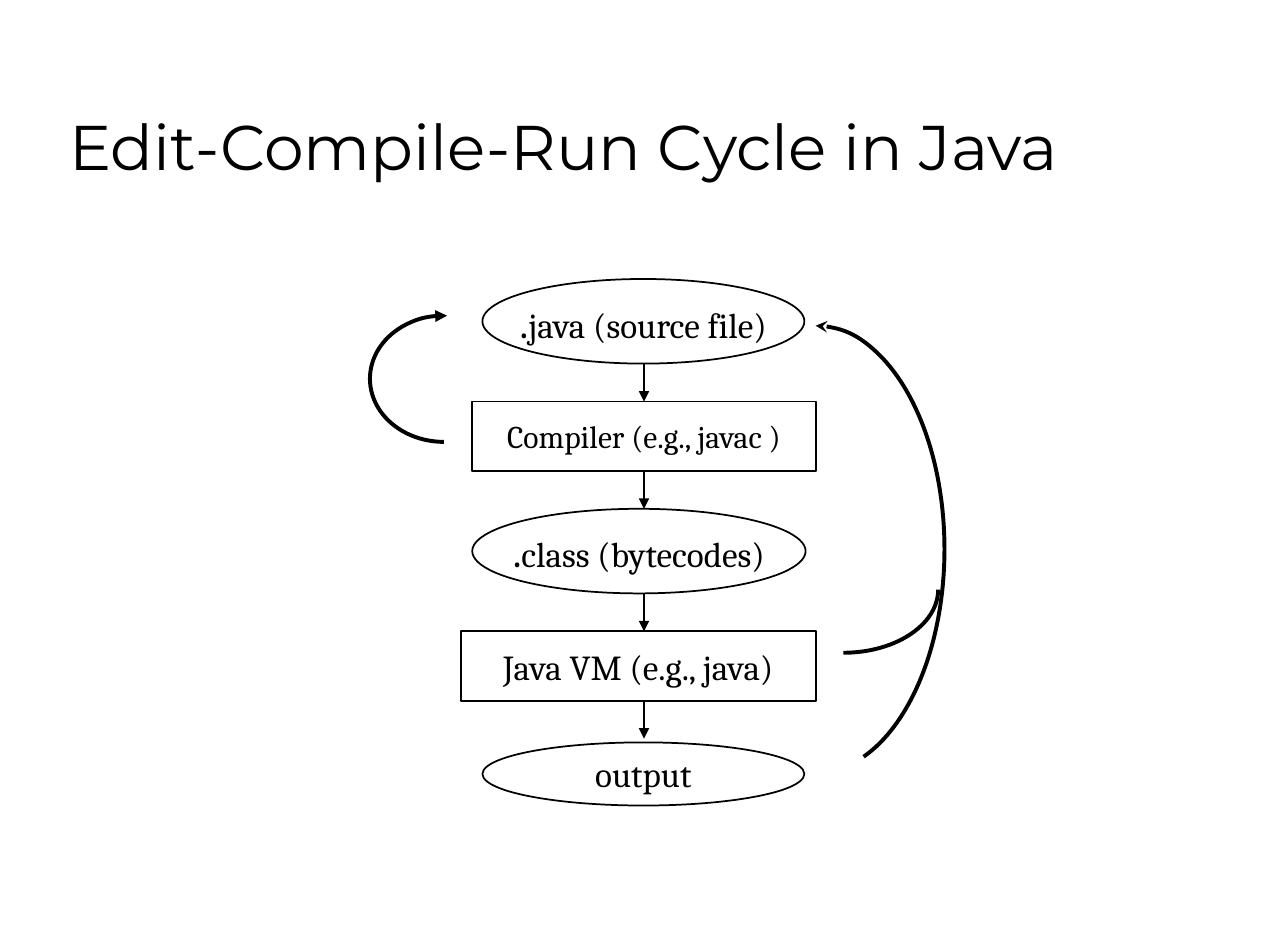
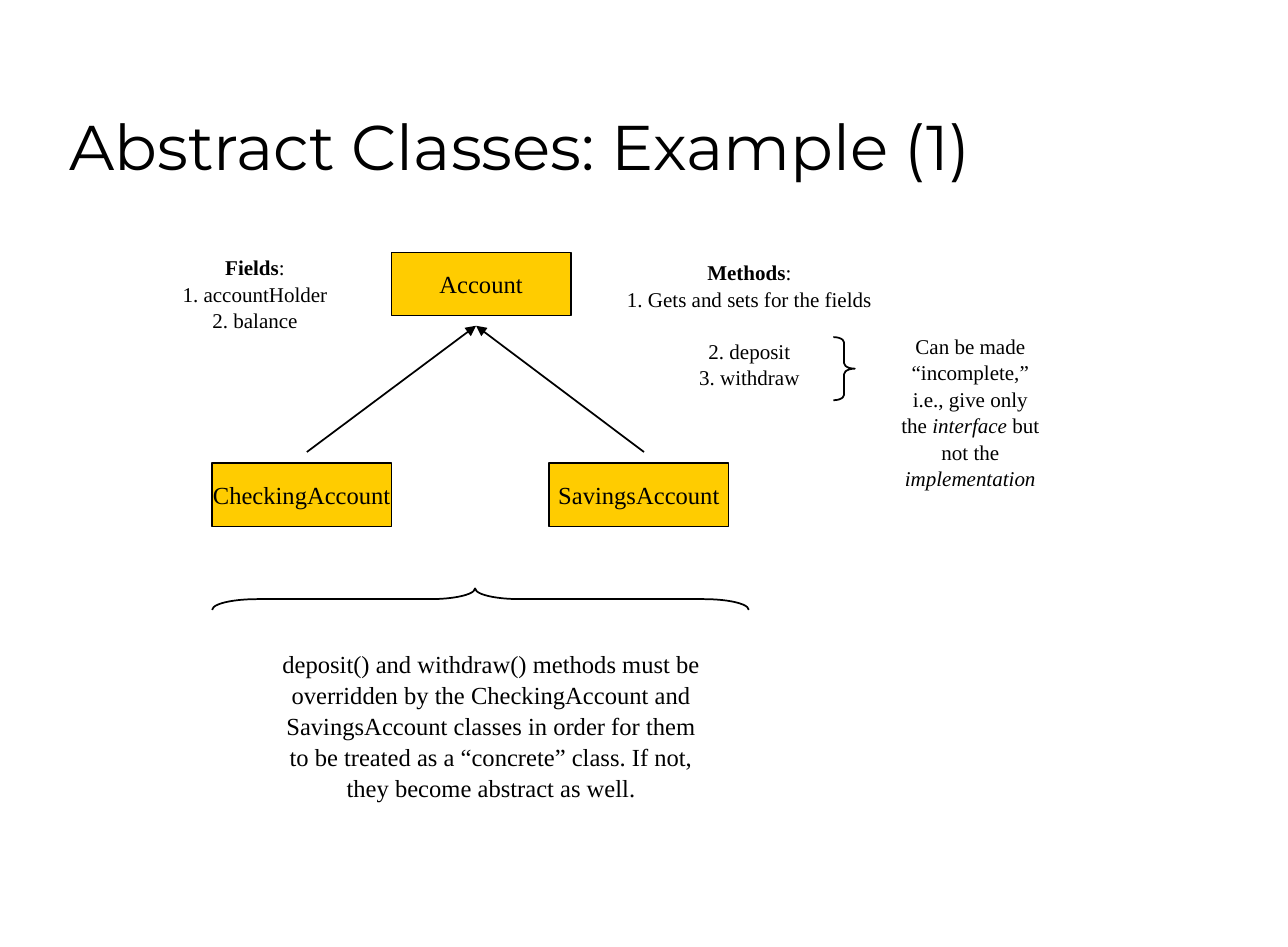
from dataclasses import dataclass
from typing import Any, NamedTuple

from pptx import Presentation
from pptx import util as u
from pptx.dml.color import RGBColor
from pptx.enum import shapes, text
from pptx.oxml import ns, xmlchemy

COLS, ROWS = 102, 75
CELL = u.Inches(0.1)
KIND = shapes.MSO_SHAPE


@dataclass(frozen=True)
class Theme:
    ink: RGBColor = RGBColor(0, 0, 0)
    paper: RGBColor = RGBColor(255, 255, 255)
    gold: RGBColor = RGBColor(255, 204, 0)
    head: str = "Montserrat"
    flow: str = "Cambria"
    note: str = "Times New Roman"
    title: float = 36
    dot: float = 24
    step: float = 20
    tool: float = 18
    body: float = 14
    small: float = 12
    thin: float = 1
    thick: float = 2.25
    leading: float = 1.05
    gap: float = 14.4


T = Theme()


class Area(NamedTuple):
    """A place in grid cells: left, top, width, height."""
    x: float
    y: float
    w: float
    h: float


class Run(NamedTuple):
    words: str
    size: float
    font: str
    bold: bool = False
    slant: bool = False


class Para(NamedTuple):
    runs: list[Run]
    before: float = 0


class Node(NamedTuple):
    kind: Any
    area: Area
    runs: list[Run]
    fill: RGBColor | None = None


class Arc(NamedTuple):
    """Angles are degrees, clockwise from the right."""
    area: Area
    start: float
    end: float
    head: str = ""
    tail: str = ""


class Brace(NamedTuple):
    area: Area
    curl: float
    tip: float
    turn: float = 0


class Note(NamedTuple):
    area: Area
    paras: list[Para]


def cells(*sizes: float) -> list[int]:
    return [round(size * CELL) for size in sizes]


def write(frame: Any, paras: list[Para], align: Any, lead: float = 1) -> None:
    for i, item in enumerate(paras):
        para = frame.paragraphs[0] if i == 0 else frame.add_paragraph()
        para.alignment = align
        if lead != 1:
            para.line_spacing = lead
        if item.before:
            para.space_before = u.Pt(item.before)
        for part in item.runs:
            run = para.add_run()
            run.text = part.words
            font = run.font
            font.name, font.size = part.font, u.Pt(part.size)
            font.bold, font.italic = part.bold, part.slant
            font.color.rgb = T.ink


def stroke(shape: Any, width: float, head: str = "", tail: str = "") -> None:
    """Set an ink line without shadow, with optional arrowheads."""
    shape.line.color.rgb = T.ink
    shape.line.width = u.Pt(width)
    props = shape._element.spPr
    line = props.find(ns.qn("a:ln"))
    for tag, tip in (("a:headEnd", head), ("a:tailEnd", tail)):
        if tip:
            end = xmlchemy.OxmlElement(tag)
            end.set("type", tip)
            line.append(end)
    if props.find(ns.qn("a:effectLst")) is None:
        props.append(xmlchemy.OxmlElement("a:effectLst"))


def outline(slide: Any, kind: Any, area: Area, width: float,
            fill: RGBColor | None = None, head: str = "", tail: str = "") -> Any:
    shape = slide.shapes.add_shape(kind, *cells(*area))
    if fill is None:
        shape.fill.background()
    else:
        shape.fill.solid()
        shape.fill.fore_color.rgb = fill
    stroke(shape, width, head, tail)
    return shape


def draw_node(slide: Any, node: Node) -> None:
    shape = outline(slide, node.kind, node.area, T.thin, node.fill)
    frame = shape.text_frame
    frame.word_wrap = False
    frame.vertical_anchor = text.MSO_ANCHOR.MIDDLE
    write(frame, [Para(node.runs)], text.PP_ALIGN.CENTER)


def draw_arc(slide: Any, arc: Arc) -> None:
    shape = outline(slide, KIND.ARC, arc.area, T.thick, None, arc.head, arc.tail)
    for i, angle in enumerate((arc.start, arc.end)):
        shape.adjustments[i] = angle * 0.6


def draw_brace(slide: Any, brace: Brace) -> None:
    shape = outline(slide, KIND.RIGHT_BRACE, brace.area, T.thin)
    shape.adjustments[0] = brace.curl
    shape.adjustments[1] = brace.tip
    shape.rotation = brace.turn


def draw_arrow(slide: Any, x1: float, y1: float, x2: float, y2: float) -> None:
    line = slide.shapes.add_connector(
        shapes.MSO_CONNECTOR.STRAIGHT, *cells(x1, y1, x2, y2))
    stroke(line, T.thin, tail="triangle")


def draw_note(slide: Any, note: Note) -> None:
    frame = slide.shapes.add_textbox(*cells(*note.area)).text_frame
    frame.word_wrap = True
    write(frame, note.paras, text.PP_ALIGN.CENTER, T.leading)


def new_slide(deck: Any, title: str) -> Any:
    slide = deck.slides.add_slide(deck.slide_layouts[6])
    slide.background.fill.solid()
    slide.background.fill.fore_color.rgb = T.paper
    frame = slide.shapes.add_textbox(*cells(4.5, 2.5, 91.5, 12.5)).text_frame
    frame.word_wrap = True
    frame.vertical_anchor = text.MSO_ANCHOR.BOTTOM
    write(frame, [Para([Run(title, T.title, T.head)])], text.PP_ALIGN.LEFT)
    return slide


def step(words: str, size: float = T.step) -> Run:
    return Run(words, size, T.flow)


def small(words: str, bold: bool = False, slant: bool = False) -> Run:
    return Run(words, T.small, T.note, bold, slant)


def cycle(deck: Any) -> None:
    slide = new_slide(deck, "Edit-Compile-Run Cycle in Java")
    dot = step(".", T.dot)
    nodes = [
        Node(KIND.OVAL, Area(38.2, 22.1, 25.5, 6.7),
             [dot, step("java (source file)")], T.paper),
        Node(KIND.RECTANGLE, Area(37.4, 31.8, 27.2, 5.5),
             [step("Compiler (e.g., javac )", T.tool)]),
        Node(KIND.OVAL, Area(37.4, 40.3, 26.4, 6.7),
             [dot, step("class (bytecodes)")]),
        Node(KIND.RECTANGLE, Area(36.5, 50, 28.1, 5.5),
             [step("Java VM (e.g., java)")]),
        Node(KIND.OVAL, Area(38.2, 58.8, 25.5, 5), [step("output")], T.paper),
    ]
    for node in nodes:
        draw_node(slide, node)
    for node in nodes[:-1]:
        foot = node.area.y + node.area.h
        draw_arrow(slide, COLS / 2, foot, COLS / 2, foot + 3)
    for arc in (
        Arc(Area(54.4, 25.8, 20.4, 35.4), 270, 77, head="stealth"),
        Arc(Area(29.3, 25, 11.7, 10), 90, 273, tail="triangle"),
        Arc(Area(59.3, 41.7, 15, 10), 0, 90),
    ):
        draw_arc(slide, arc)


def classes(deck: Any) -> None:
    slide = new_slide(deck, "Abstract Classes: Example (1)")
    for name, x, y in (("Account", 31, 20), ("CheckingAccount", 16.8, 36.7),
                       ("SavingsAccount", 43.5, 36.7)):
        draw_node(slide, Node(KIND.RECTANGLE, Area(x, y, 14.2, 5),
                              [Run(name, T.body, T.note)], T.gold))
    for x in (24.3, 51):
        draw_arrow(slide, x, 35.8, 37.7, 25.8)
    draw_brace(slide, Brace(Area(66, 26.7, 1.7, 5), 0.25, 0.5))
    draw_brace(slide, Brace(Area(37.2, 26.2, 1.7, 42.5), 2.08, 0.49, 270))
    for note in (
        Note(Area(12.7, 19.6, 15, 9), [
            Para([small("Fields", bold=True), small(":")]),
            Para([small("1. accountHolder")]),
            Para([small("2. balance")])]),
        Note(Area(48.5, 20, 21.7, 13), [
            Para([small("Methods", bold=True), small(":")]),
            Para([small("1. Gets and sets for the fields")]),
            Para([small("2. deposit")], T.gap),
            Para([small("3. withdraw")])]),
        Note(Area(70.2, 25.8, 13.3, 15), [
            Para([small("Can be made “incomplete,”")]),
            Para([small("i.e., give only the "), small("interface", slant=True),
                  small(" but not the "), small("implementation", slant=True)])]),
        Note(Area(21, 50.8, 35.8, 15), [Para([Run(
            "deposit() and withdraw() methods must be overridden by the "
            "CheckingAccount and SavingsAccount classes in order for them to be "
            "treated as a “concrete” class. If not, they become abstract as well.",
            T.body, T.note)])]),
    ):
        draw_note(slide, note)


def main() -> None:
    deck = Presentation()
    deck.slide_width, deck.slide_height = cells(COLS, ROWS)
    cycle(deck)
    classes(deck)
    deck.save("out.pptx")


if __name__ == "__main__":
    main()
